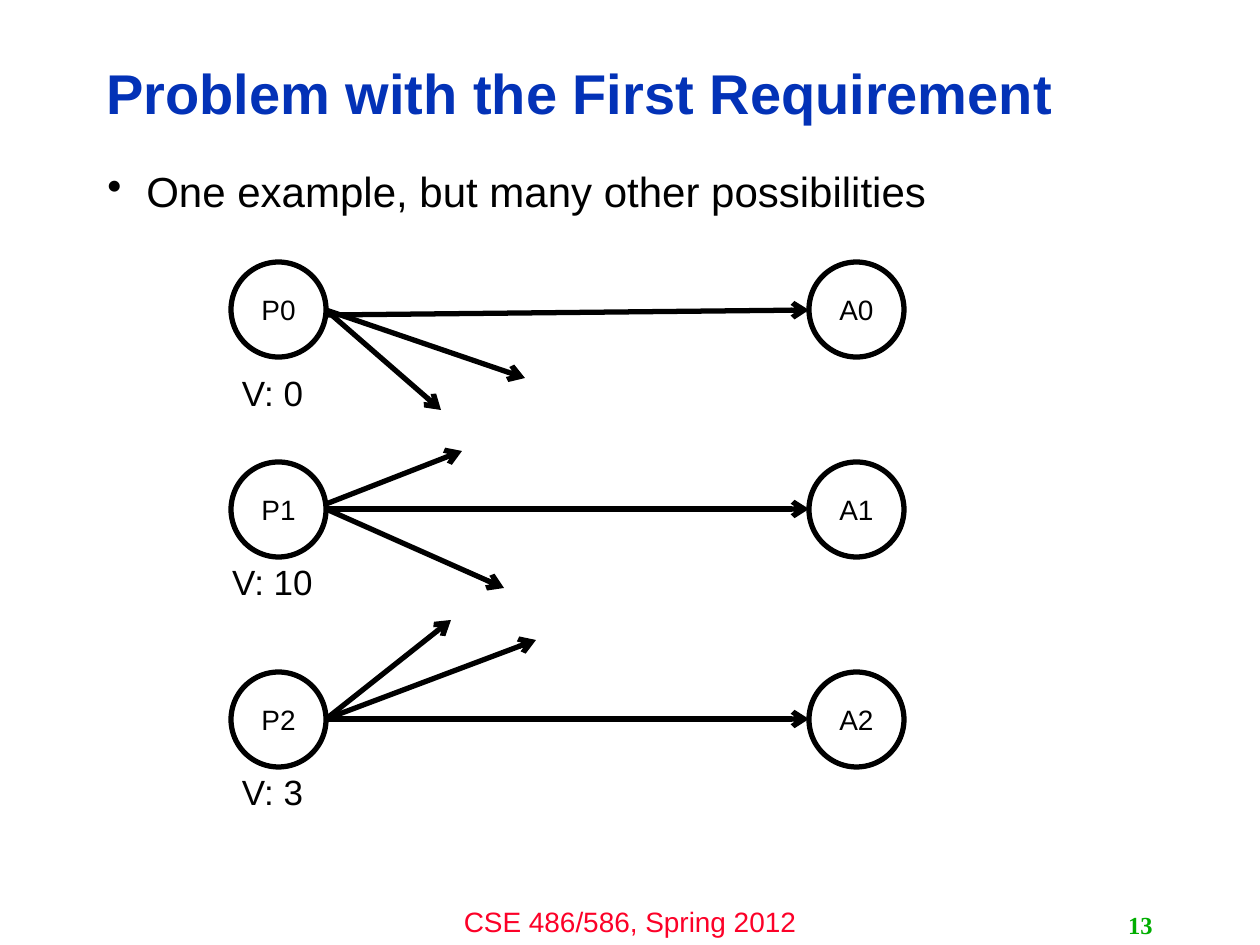
from dataclasses import dataclass

from lxml import etree
from pptx import Presentation
from pptx import util as u
from pptx.dml.color import RGBColor
from pptx.enum import shapes, text
from pptx.oxml.ns import qn

PX = 914400 / 126


@dataclass(frozen=True)
class Theme:
    """Colours, fonts and type sizes of the slide."""
    ink: str = "000000"
    paper: str = "FFFFFF"
    heading: str = "0332B7"
    course: str = "FC0128"
    number: str = "00AE00"
    sans: str = "Arial"
    serif: str = "Times New Roman"
    title: int = 32
    body: int = 24
    value: int = 20
    small: int = 16
    page_number: int = 14
    stroke: int = 3


THEME = Theme()
CENTER, RIGHT = text.PP_ALIGN.CENTER, text.PP_ALIGN.RIGHT
MIDDLE = text.MSO_ANCHOR.MIDDLE


def emu(*pixels):
    """Turn pixel lengths into EMU."""
    return [u.Emu(round(p * PX)) for p in pixels]


def rgb(color):
    """Return a colour object for a hex value."""
    return RGBColor.from_string(color)


def write(shape, words, size, color=THEME.ink, font=THEME.sans, bold=False,
          frame=None, paragraph=None):
    """Write one formatted paragraph into a shape and return the paragraph."""
    body = shape.text_frame
    line = body.paragraphs[0]
    run = line.add_run()
    run.text = words
    run.font.color.rgb = rgb(color)
    formats = (
        (body, {"word_wrap": True, **(frame or {})}),
        (line, paragraph or {}),
        (run.font, {"size": u.Pt(size), "name": font, "bold": bold}),
    )
    for target, values in formats:
        for name, value in values.items():
            setattr(target, name, value)
    return line


def add_label(slide, box, words, size, **style):
    """Add a text box with one paragraph and return the paragraph."""
    return write(slide.shapes.add_textbox(*emu(*box)), words, size, **style)


def add_node(slide, left, top, diameter, name):
    """Add a named circle for one process."""
    node = slide.shapes.add_shape(
        shapes.MSO_SHAPE.OVAL, *emu(left, top, diameter, diameter))
    node.shadow.inherit = False
    node.fill.solid()
    node.fill.fore_color.rgb = rgb(THEME.paper)
    node.line.color.rgb = rgb(THEME.ink)
    node.line.width = u.Pt(THEME.stroke)
    write(node, name, THEME.small, frame={"vertical_anchor": MIDDLE},
          paragraph={"alignment": CENTER})


def add_arrow(slide, start, end):
    """Add a straight arrow between two pixel points."""
    arrow = slide.shapes.add_connector(
        shapes.MSO_CONNECTOR.STRAIGHT, *emu(*start, *end))
    arrow.line.color.rgb = rgb(THEME.ink)
    arrow.line.width = u.Pt(THEME.stroke)
    etree.SubElement(arrow.line._get_or_add_ln(), qn("a:tailEnd"), type="arrow")
    etree.SubElement(arrow._element.spPr, qn("a:effectLst"))


def add_header(slide, left, top, width):
    """Add the title and the bullet line below it."""
    add_label(slide, (left, top, width - 53, 102),
              "Problem with the First Requirement", THEME.title,
              color=THEME.heading, bold=True,
              frame={"vertical_anchor": MIDDLE}, paragraph={"line_spacing": 0.9})
    bullet = add_label(slide, (left + 1, top + 120, width, 679),
                       "One example, but many other possibilities", THEME.body,
                       paragraph={"line_spacing": 0.9,
                                  "space_before": u.Pt(7)})
    props = bullet._p.get_or_add_pPr()
    indent = emu(39)[0]
    props.set("marL", str(indent))
    props.set("indent", str(-indent))
    etree.SubElement(props, qn("a:buChar"), char="•")


def add_exchange(slide, left, top, index, value, value_drop, messages):
    """Add a proposer, its value, an acceptor and the messages sent."""
    diameter, reach = 95, 578
    for start_y, end_x, end_y in messages:
        add_arrow(slide, (left + diameter, top + start_y),
                  (left + end_x, top + end_y))
    add_node(slide, left, top, diameter, f"P{index}")
    add_node(slide, left + reach, top, diameter, f"A{index}")
    add_label(slide, (left - 32, top + value_drop, 147, 55), f"V: {value}",
              THEME.value, paragraph={"alignment": CENTER})


def add_footer(slide, left, top):
    """Add the course name and the slide number."""
    add_label(slide, (left, top, 420, 47), "CSE 486/586, Spring 2012",
              THEME.small, color=THEME.course, paragraph={"alignment": CENTER})
    add_label(slide, (left + 483, top + 7, 262, 40), "13", THEME.page_number,
              color=THEME.number, font=THEME.serif, bold=True,
              frame={"vertical_anchor": MIDDLE}, paragraph={"alignment": RIGHT})


def main():
    """Build and save the slide."""
    deck = Presentation()
    deck.slide_width, deck.slide_height = emu(1260, 945)
    slide = deck.slides.add_slide(deck.slide_layouts[6])
    add_header(slide, 94, 45, 1058)
    exchanges = (
        (262, 0, 103, ((48, 294, 116), (48, 210, 148), (53, 578, 48))),
        (462, 10, 92, ((47, 578, 47), (42, 231, -11), (47, 273, 126))),
        (672, 3, 92, ((47, 578, 47), (47, 305, -32), (47, 220, -52))),
    )
    for index, (top, value, value_drop, messages) in enumerate(exchanges):
        add_exchange(slide, 231, top, index, value, value_drop, messages)
    add_footer(slide, 420, 898)
    deck.save("out.pptx")


main()
